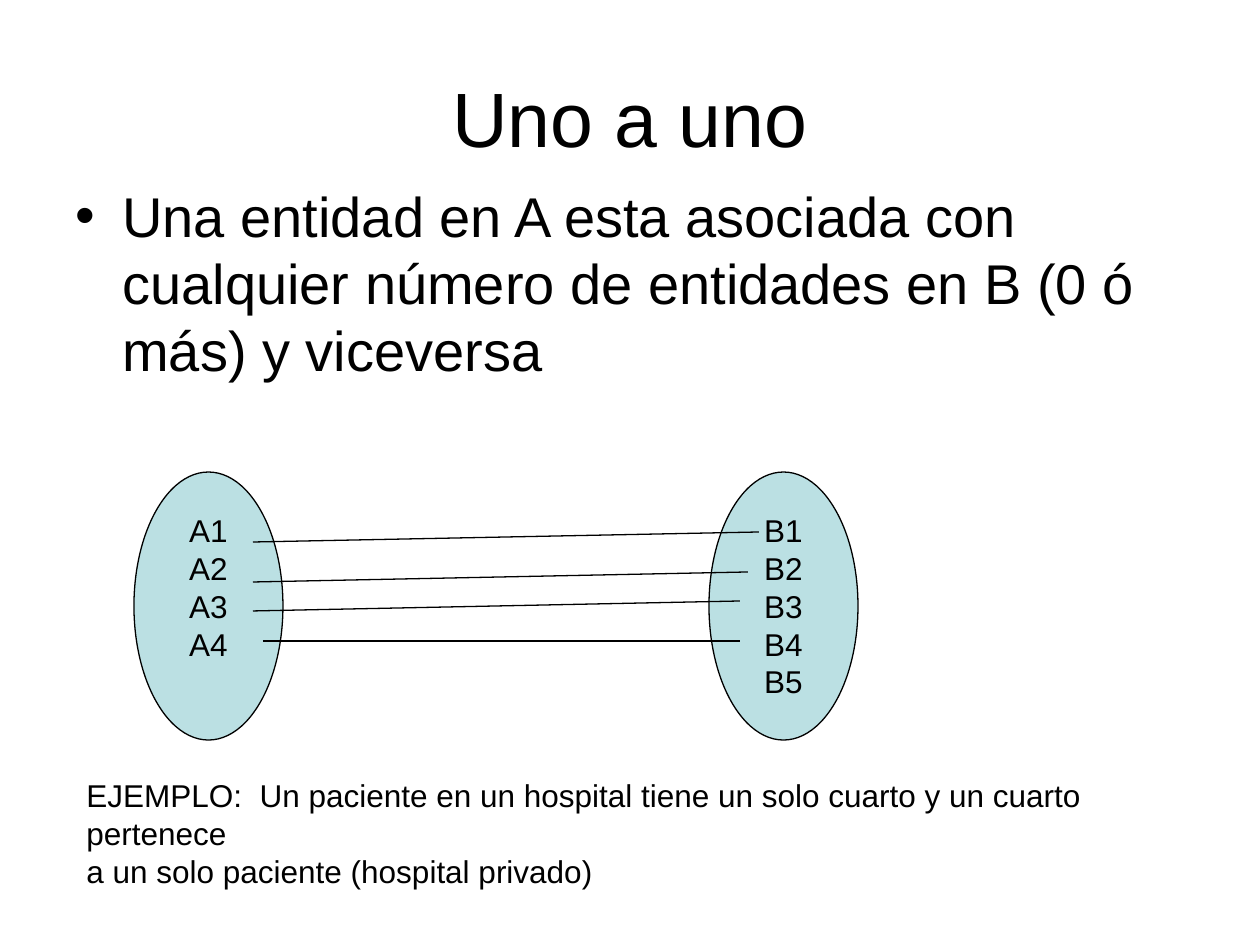
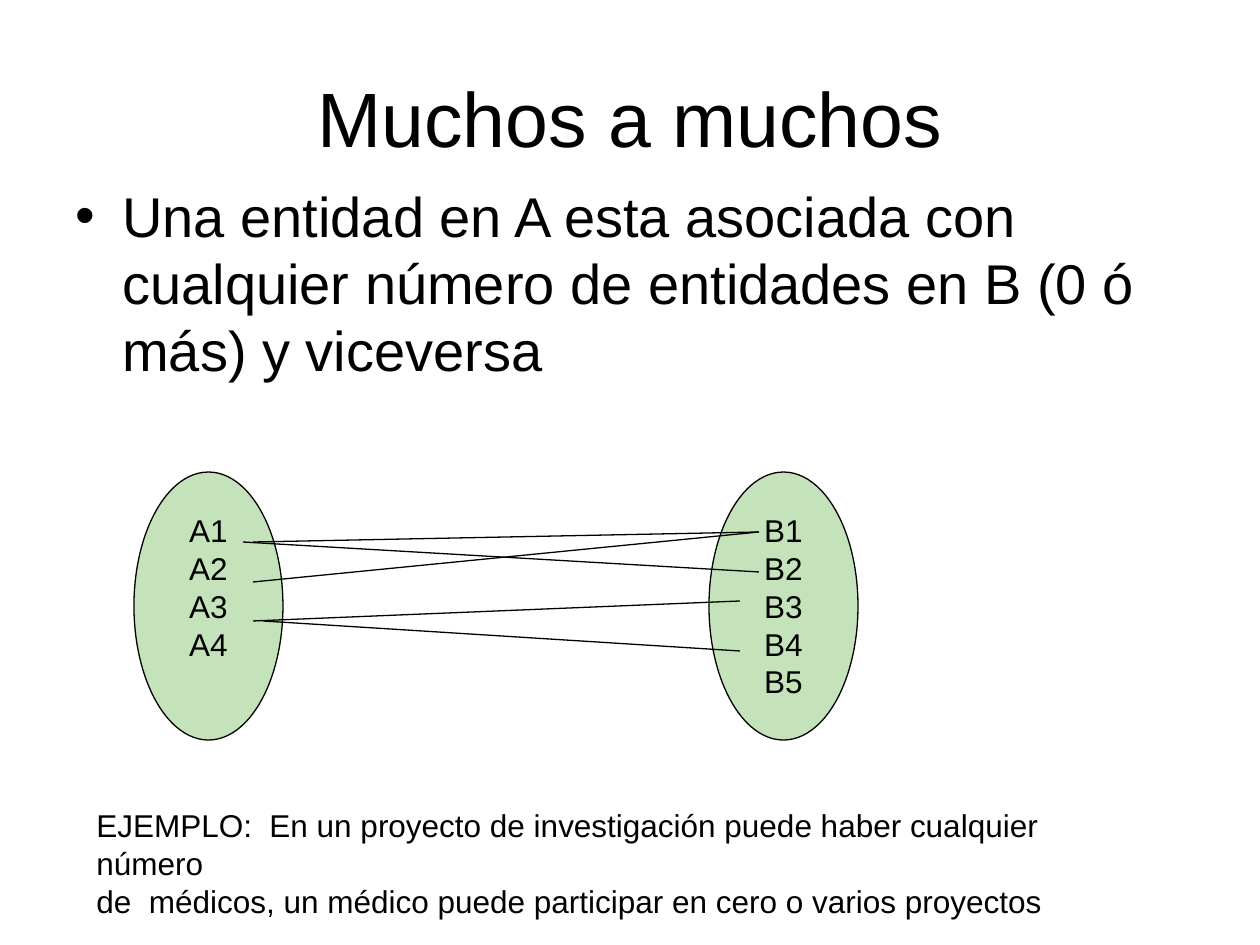
from lxml.etree import SubElement
from pptx import Presentation
from pptx.dml.color import RGBColor
from pptx.enum.shapes import MSO_CONNECTOR, MSO_SHAPE
from pptx.enum.text import MSO_ANCHOR, MSO_AUTO_SIZE, PP_ALIGN
from pptx.oxml.ns import qn
from pptx.util import Emu, Pt

PX_PER_INCH = 126
FONT = "Arial"
BLACK = RGBColor(0x00, 0x00, 0x00)
AQUA = RGBColor(0xBB, 0xE0, 0xE3)
GREEN = RGBColor(0xC5, 0xE3, 0xBB)
OUTLINE = Pt(0.75)

DEFINITION = ("Una entidad en A esta asociada con cualquier número "
              "de entidades en B (0 ó más) y viceversa")
SET_LEFTS = {"A": 134, "B": 709}
SET_SIZES = {"A": 4, "B": 5}
SET_TOP, SET_WIDTH, SET_HEIGHT = 472, 149, 268

ONE_TO_ONE = [
    (253, 542, 759, 532),
    (263, 641, 740, 641),
    (253, 611, 740, 601),
    (253, 582, 748, 572),
]
MANY_TO_MANY = [
    (253, 542, 759, 532),
    (243, 542, 759, 572),
    (263, 621, 740, 651),
    (253, 621, 740, 601),
    (253, 582, 759, 532),
]


def px(length):
    return Emu(round(length * 914400 / PX_PER_INCH))


def write_lines(frame, lines, size, align=PP_ALIGN.LEFT):
    """Fill a text frame with one paragraph per line."""
    for index, line in enumerate(lines):
        paragraph = frame.add_paragraph() if index else frame.paragraphs[0]
        paragraph.text = line
        paragraph.alignment = align
        paragraph.font.name = FONT
        paragraph.font.size = Pt(size)
        paragraph.font.color.rgb = BLACK


def add_text(slide, box, lines, size, align=PP_ALIGN.LEFT, wrap=True):
    frame = slide.shapes.add_textbox(*map(px, box)).text_frame
    frame.word_wrap = wrap
    write_lines(frame, lines, size, align)
    return frame


def add_title(slide, title):
    frame = add_text(slide, (63, 38, 1134, 158), [title], 44, PP_ALIGN.CENTER)
    frame.vertical_anchor = MSO_ANCHOR.MIDDLE


def add_definition(slide):
    frame = add_text(slide, (63, 175, 1134, 669), [DEFINITION], 32)
    paragraph = frame.paragraphs[0]
    paragraph.space_before = Pt(8)
    properties = paragraph._p.get_or_add_pPr()
    indent = px(47)
    properties.set("marL", str(indent))
    properties.set("indent", str(-indent))
    SubElement(properties, qn("a:buFont"), typeface=FONT)
    SubElement(properties, qn("a:buChar"), char="•")


def add_entity_set(slide, letter, color):
    """Draw an ellipse listing the numbered entities of one set."""
    ellipse = slide.shapes.add_shape(
        MSO_SHAPE.OVAL, px(SET_LEFTS[letter]), px(SET_TOP),
        px(SET_WIDTH), px(SET_HEIGHT))
    ellipse.shadow.inherit = False
    ellipse.fill.solid()
    ellipse.fill.fore_color.rgb = color
    ellipse.line.color.rgb = BLACK
    ellipse.line.width = OUTLINE
    frame = ellipse.text_frame
    frame.word_wrap = False
    frame.vertical_anchor = MSO_ANCHOR.TOP
    frame.margin_top = frame.margin_bottom = 0
    entities = [f"{letter}{n}" for n in range(1, SET_SIZES[letter] + 1)]
    write_lines(frame, entities, 18, PP_ALIGN.CENTER)


def add_association(slide, ends):
    link = slide.shapes.add_connector(MSO_CONNECTOR.STRAIGHT, *map(px, ends))
    link.line.color.rgb = BLACK
    link.line.width = OUTLINE
    SubElement(link._element.spPr, qn("a:effectLst"))


def add_example(slide, box, lines):
    frame = add_text(slide, box, lines, 18, wrap=False)
    frame.auto_size = MSO_AUTO_SIZE.SHAPE_TO_FIT_TEXT


def add_cardinality_slide(deck, title, color, associations, example_box, example):
    slide = deck.slides.add_slide(deck.slide_layouts[6])
    add_title(slide, title)
    add_definition(slide)
    for letter in SET_LEFTS:
        add_entity_set(slide, letter, color)
    for ends in associations:
        add_association(slide, ends)
    add_example(slide, example_box, example)


def main():
    deck = Presentation()
    deck.slide_width, deck.slide_height = px(1260), px(945)
    add_cardinality_slide(
        deck, "Uno a uno", AQUA, ONE_TO_ONE, (74, 770, 1168, 88),
        ["EJEMPLO:  Un paciente en un hospital tiene un solo cuarto y un cuarto pertenece",
         "a un solo paciente (hospital privado)"])
    add_cardinality_slide(
        deck, "Muchos a muchos", GREEN, MANY_TO_MANY, (84, 800, 1082, 88),
        ["EJEMPLO:  En un proyecto de investigación puede haber cualquier número",
         "de  médicos, un médico puede participar en cero o varios proyectos"])
    deck.save("out.pptx")


if __name__ == "__main__":
    main()
